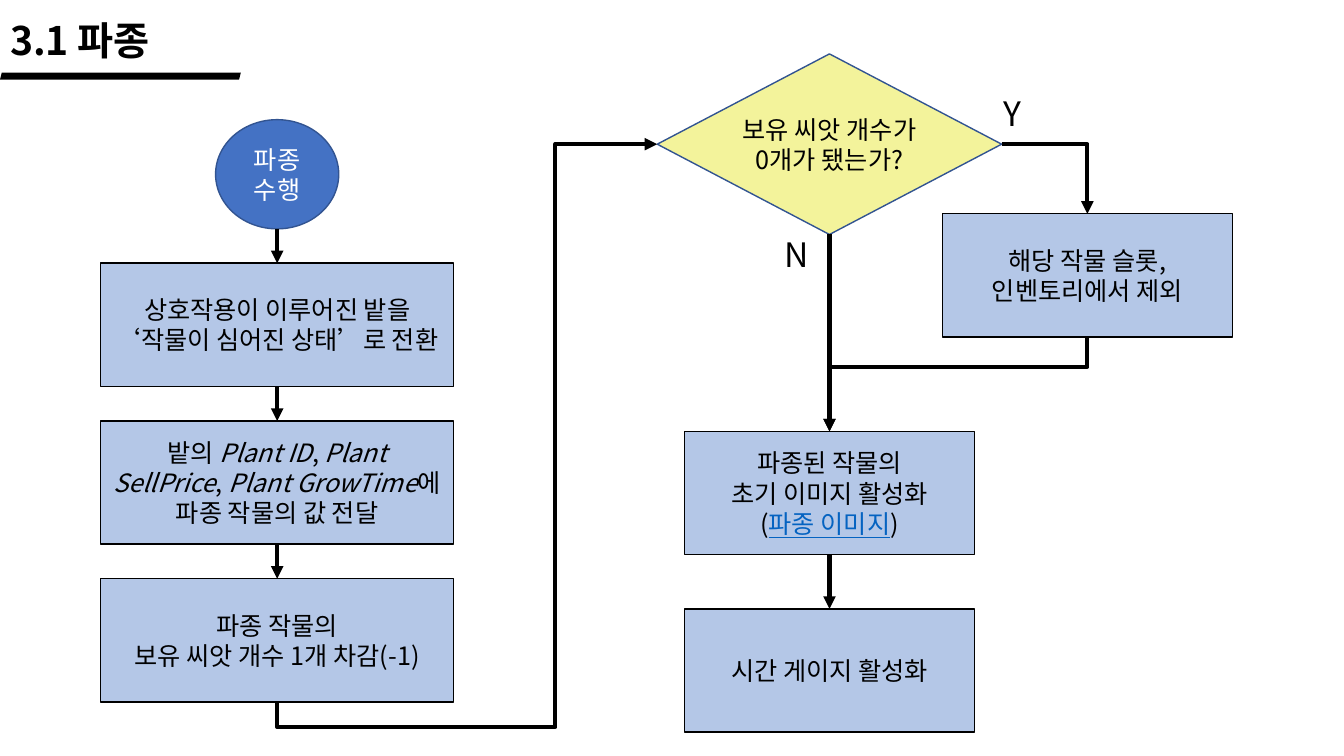
from dataclasses import dataclass

from lxml import etree
from pptx import Presentation
from pptx.dml.color import RGBColor
from pptx.enum.shapes import MSO_CONNECTOR, MSO_SHAPE
from pptx.enum.text import MSO_ANCHOR, PP_ALIGN
from pptx.oxml.ns import qn
from pptx.util import Pt

STRAIGHT, ELBOW = MSO_CONNECTOR.STRAIGHT, MSO_CONNECTOR.ELBOW
RECTANGLE, BAR = MSO_SHAPE.RECTANGLE, MSO_SHAPE.PARALLELOGRAM
START, DECISION = MSO_SHAPE.FLOWCHART_CONNECTOR, MSO_SHAPE.FLOWCHART_DECISION
LEFT, CENTER = PP_ALIGN.LEFT, PP_ALIGN.CENTER
TOP, MIDDLE = MSO_ANCHOR.TOP, MSO_ANCHOR.MIDDLE
TOP_SITE, BOTTOM_SITE = 0, 2
TITLE_ONLY = 5


@dataclass(frozen=True)
class Theme:
    font: str = "Noto Sans CJK KR"
    black: str = "000000"
    white: str = "FFFFFF"
    start: str = "4472C4"
    outline: str = "325491"
    step: str = "B4C7E7"
    decision: str = "F3F39B"
    link: str = "0563C1"
    title_size: int = 28
    label_size: int = 24
    text_size: int = 18
    border: int = 1
    arrow: int = 3


THEME = Theme()


def color(value):
    return RGBColor.from_string(value)


def style_run(run, size=THEME.text_size, ink=THEME.black):
    run.font.size = Pt(size)
    run.font.name = THEME.font
    run.font.color.rgb = color(ink)
    east_asian = etree.SubElement(run.font._element, qn("a:ea"))
    east_asian.set("typeface", THEME.font)


def style_text(frame, size=THEME.text_size, ink=THEME.black, align=CENTER):
    for paragraph in frame.paragraphs:
        paragraph.alignment = align
        for run in paragraph.runs:
            style_run(run, size, ink)


def add_title(slide, text):
    title = slide.shapes.title
    title.left, title.top, title.width, title.height = Pt(0), Pt(8), Pt(184), Pt(41)
    frame = title.text_frame
    frame.text = text
    frame.vertical_anchor = TOP
    style_text(frame, THEME.title_size, align=LEFT)
    frame.paragraphs[0].runs[0].font.bold = True


def add_node(slide, kind, box, fill, text="", outline=THEME.black, ink=THEME.black):
    shape = slide.shapes.add_shape(kind, *map(Pt, box))
    shape.shadow.inherit = False
    shape.fill.solid()
    shape.fill.fore_color.rgb = color(fill)
    if outline:
        shape.line.color.rgb = color(outline)
        shape.line.width = Pt(THEME.border)
    else:
        shape.line.fill.background()
    frame = shape.text_frame
    frame.text = text
    frame.vertical_anchor = MIDDLE
    style_text(frame, ink=ink)
    return shape


def add_label(slide, box, text):
    frame = slide.shapes.add_textbox(*map(Pt, box)).text_frame
    frame.text = text
    frame.word_wrap = False
    style_text(frame, THEME.label_size, align=LEFT)


def style_arrow(connector):
    connector.line.color.rgb = color(THEME.black)
    connector.line.width = Pt(THEME.arrow)
    head = etree.SubElement(connector.line._get_or_add_ln(), qn("a:tailEnd"))
    head.set("type", "triangle")
    etree.SubElement(connector._element.spPr, qn("a:effectLst"))


def add_down_arrow(slide, upper, lower, glue_upper=True):
    x = upper.left + upper.width // 2
    connector = slide.shapes.add_connector(
        STRAIGHT, x, upper.top + upper.height, x, lower.top)
    if glue_upper:
        connector.begin_connect(upper, BOTTOM_SITE)
    connector.end_connect(lower, TOP_SITE)
    style_arrow(connector)


def add_bent_arrow(slide, begin, end, preset, adjustments=(), turned=False, flipped=False):
    """Elbow arrow; a turned one leaves its begin point vertically."""
    (x1, y1), (x2, y2) = begin, end
    width, height = abs(x2 - x1), abs(y2 - y1)
    if turned:
        width, height = height, width
    left, top = (x1 + x2 - width) / 2, (y1 + y2 - height) / 2
    connector = slide.shapes.add_connector(
        ELBOW, Pt(left), Pt(top), Pt(left + width), Pt(top + height))
    properties = connector._element.spPr
    frame = properties.find(qn("a:xfrm"))
    if turned:
        frame.set("rot", "5400000")
    if flipped:
        frame.set("flipH", "1")
        frame.set("flipV", "1")
    geometry = properties.find(qn("a:prstGeom"))
    geometry.set("prst", preset)
    guides = geometry.find(qn("a:avLst"))
    for number, value in enumerate(adjustments, 1):
        guide = etree.SubElement(guides, qn("a:gd"))
        guide.set("name", f"adj{number}")
        guide.set("fmla", f"val {round(value * 100000)}")
    style_arrow(connector)


def fill_plant_values(shape):
    paragraph = shape.text_frame.paragraphs[0]
    pieces = [("밭의 ", False), ("Plant ID", True), (", ", False),
              ("Plant SellPrice", True), (", ", False),
              ("Plant GrowTime", True), ("에", False)]
    for text, italic in pieces:
        run = paragraph.add_run()
        run.text = text
        run.font.italic = italic
    paragraph.add_line_break()
    paragraph.add_run().text = "파종 작물의 값 전달"
    style_text(shape.text_frame)


def add_image_link_line(shape):
    paragraph = shape.text_frame.add_paragraph()
    paragraph.alignment = CENTER
    for text, ink in (("(", THEME.black), ("파종 이미지", THEME.link), (")", THEME.black)):
        run = paragraph.add_run()
        run.text = text
        run.font.underline = ink == THEME.link
        style_run(run, ink=ink)


def main():
    presentation = Presentation()
    presentation.slide_width, presentation.slide_height = Pt(960), Pt(540)
    slide = presentation.slides.add_slide(presentation.slide_layouts[TITLE_ONLY])

    # Heading
    add_title(slide, "3.1 파종")
    add_node(slide, BAR, (0, 52, 172, 5), THEME.black, outline=None)

    # Left column: start and three steps
    left_center, step_height = 198, 88
    start = add_node(slide, START, (left_center - 44, 85.5, 88, 78), THEME.start,
                     "파종수행", THEME.outline, THEME.white)
    left_texts = ["상호작용이 이루어진 밭을\n‘작물이 심어진 상태’로 전환", "",
                  "파종 작물의\n보유 씨앗 개수 1개 차감(-1)"]
    left_steps = [
        add_node(slide, RECTANGLE, (left_center - 126, 188 + 112.7 * row, 252, step_height),
                 THEME.step, text)
        for row, text in enumerate(left_texts)]
    fill_plant_values(left_steps[1])

    # Right column: decision and its branches
    right_center, branch_center, decision_middle = 592.5, 776.7, 103
    decision = add_node(slide, DECISION, (right_center - 123, decision_middle - 64.5, 246, 129),
                        THEME.decision, "보유 씨앗 개수가\n0개가 됐는가?", THEME.outline)
    decision.text_frame.word_wrap = False
    right_nodes = [(branch_center, 152.7, "해당 작물 슬롯,\n인벤토리에서 제외"),
                   (right_center, 308.2, "파종된 작물의\n초기 이미지 활성화"),
                   (right_center, 435, "시간 게이지 활성화")]
    _, show_image, show_gauge = [
        add_node(slide, RECTANGLE, (center - 103.5, top, 207, step_height), THEME.step, text)
        for center, top, text in right_nodes]
    add_image_link_line(show_image)
    add_label(slide, (553, 163.5, 33, 36), "N")
    add_label(slide, (710, 62.5, 28, 36), "Y")

    # Straight arrows
    add_down_arrow(slide, start, left_steps[0], glue_upper=False)
    for upper, lower in [*zip(left_steps, left_steps[1:]),
                         (decision, show_image), (show_image, show_gauge)]:
        add_down_arrow(slide, upper, lower)

    # Bent arrows: to the decision, to the Y branch, and back
    add_bent_arrow(slide, (left_center, 501.4), (right_center - 123, decision_middle),
                   "bentConnector4", (-0.045, 0.732), turned=True, flipped=True)
    add_bent_arrow(slide, (right_center + 123, decision_middle), (branch_center, 152.7),
                   "bentConnector2")
    add_bent_arrow(slide, (branch_center, 240.7), (right_center, 308.2),
                   "bentConnector3", (0.316,), turned=True)

    presentation.save("out.pptx")


if __name__ == "__main__":
    main()
